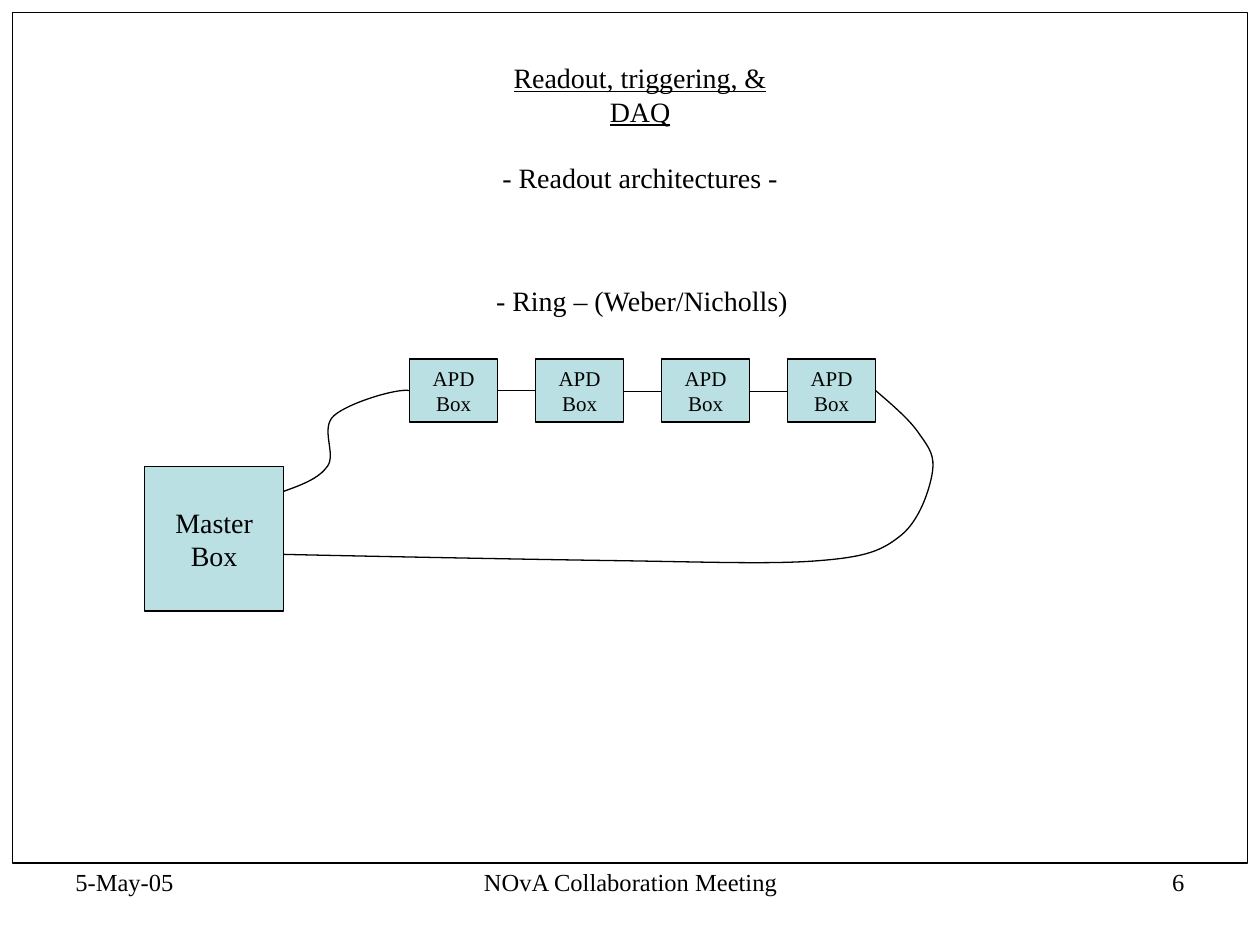
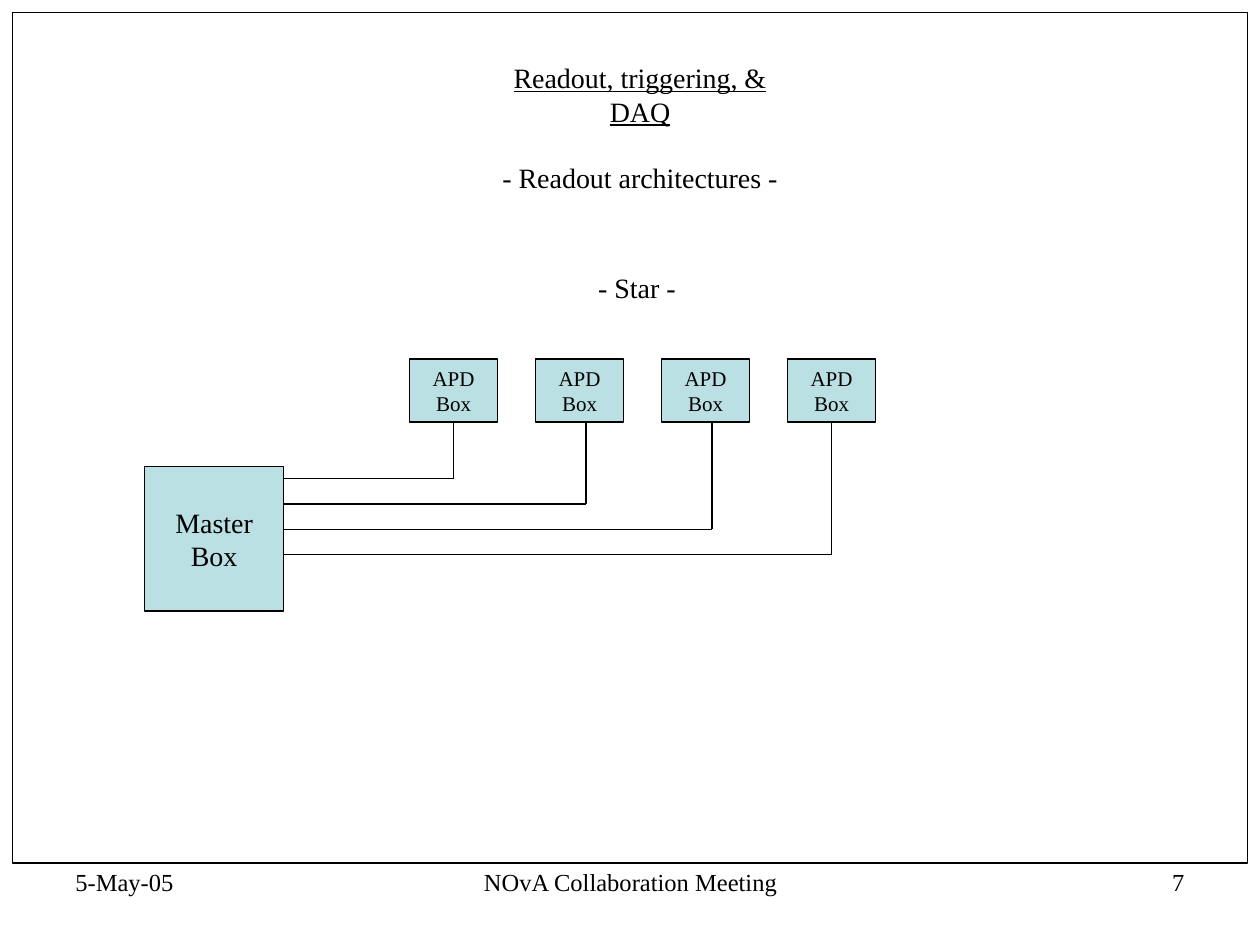
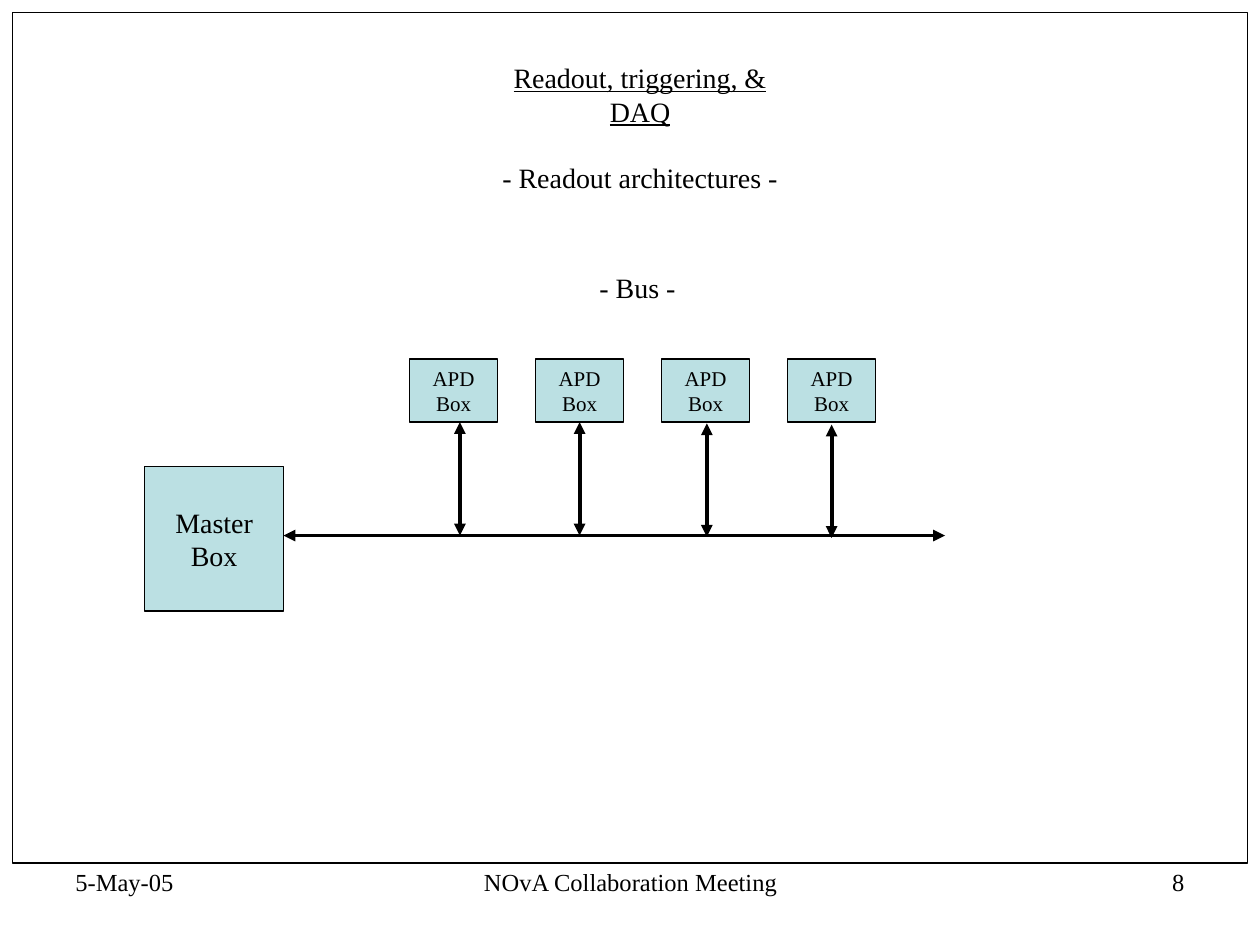
from lxml import etree
from pptx import Presentation
from pptx.dml.color import RGBColor
from pptx.enum import shapes, text
from pptx.oxml.ns import qn
from pptx.util import Inches, Pt

INK = RGBColor.from_string("000000")
AQUA = RGBColor.from_string("BBE0E3")
FONT = "Times New Roman"
RECT = shapes.MSO_SHAPE.RECTANGLE
LEFT, MID, RIGHT = text.PP_ALIGN.LEFT, text.PP_ALIGN.CENTER, text.PP_ALIGN.RIGHT


def write(shape, words, size, align=MID, anchor=text.MSO_ANCHOR.TOP, wrap=False):
    frame = shape.text_frame
    frame.text = words
    frame.word_wrap = wrap
    frame.auto_size = text.MSO_AUTO_SIZE.NONE
    frame.vertical_anchor = anchor
    for para in frame.paragraphs:
        para.alignment = align
        for run in para.runs:
            run.font.name, run.font.size = FONT, Pt(size)
            run.font.color.rgb = INK


def link(slide, x1, y1, x2, y2, arrows=False):
    wire = slide.shapes.add_connector(
        shapes.MSO_CONNECTOR.STRAIGHT, *map(Inches, (x1, y1, x2, y2)))
    wire.line.color.rgb = INK
    wire.line.width = Pt(2.25 if arrows else 0.75)
    if arrows:
        for end in ("a:headEnd", "a:tailEnd"):
            etree.SubElement(wire.get_or_add_ln(), qn(end), type="triangle")
    etree.SubElement(wire._element.spPr, qn("a:effectLst"))


deck = Presentation()
deck.slide_width, deck.slide_height = Inches(10), Inches(7.5)
layout = deck.slide_layouts[5]

# Slides with what they share: title, boxes and footer
slides = []
heads = [("- Ring – (Weber/Nicholls)", 3.83, 2.2, 2.53),
         ("- Star -", 4.65, 2.1, 0.81),
         ("- Bus -", 4.66, 2.1, 0.8)]
cols = [3.25 + i for i in range(4)]
boxes = [("APD\nBox", x, 2.85, 0.7, 0.5, 12) for x in cols]
boxes.append(("Master\nBox", 1.15, 3.7, 1.1, 1.15, 16))

for page, (head, x, y, w) in enumerate(heads, 6):
    slide = deck.slides.add_slide(layout)
    slides.append(slide)

    title = slide.shapes.title
    title.left, title.top = Inches(3.71), Inches(0.43)
    title.width, title.height = Inches(2.74), Inches(0.9)
    write(title, "Readout, triggering, & DAQ\n- Readout architectures -", 16)
    first, second = title.text_frame.paragraphs
    first.runs[0].font.underline = True
    first.space_before = Pt(0)
    second.space_before = Pt(19)

    for label, bx, by, bw, bh, size in boxes:
        box = slide.shapes.add_shape(RECT, *map(Inches, (bx, by, bw, bh)))
        box.shadow.inherit = False
        box.fill.solid()
        box.fill.fore_color.rgb = AQUA
        box.line.color.rgb = INK
        box.line.width = Pt(0.75)
        write(box, label, size, anchor=text.MSO_ANCHOR.MIDDLE)

    name = slide.shapes.add_textbox(*map(Inches, (x, y, w, 0.37)))
    write(name, head, 16)

    for words, fx, fw, align in [("5-May-05", 0.5, 2.33, LEFT),
                                 ("NOvA Collaboration Meeting", 3.42, 3.17, MID),
                                 (str(page), 7.17, 2.33, RIGHT)]:
        foot = slide.shapes.add_textbox(*map(Inches, (fx, 6.83, fw, 0.52)))
        write(foot, words, 14, align, wrap=True)

ring, star, bus = slides

# Page frame, moved to the layout that all slides use
frame = ring.shapes.add_shape(RECT, *map(Inches, (0.1, 0.1, 9.8, 6.75)))
frame.shadow.inherit = False
frame.fill.background()
frame.line.color.rgb = INK
frame.line.width = Pt(0.75)
layout.shapes._spTree.append(frame._element)

# Ring: links between the boxes, and two curves to the master
for x, y in zip(cols, (3.1, 3.11, 3.11)):
    link(ring, x + 0.7, y, x + 1, y)

curves = [
    [(2.25, 3.9), (2.39, 3.85), (2.53, 3.8), (2.6, 3.7), (2.67, 3.6),
     (2.54, 3.4), (2.65, 3.3), (2.76, 3.2), (3.15, 3.08), (3.25, 3.1)],
    [(6.95, 3.1), (7.09, 3.22), (7.23, 3.34), (7.3, 3.45), (7.38, 3.56),
     (7.42, 3.62), (7.4, 3.75), (7.38, 3.88), (7.3, 4.13), (7.15, 4.25),
     (7, 4.37), (6.88, 4.42), (6.5, 4.45), (6.13, 4.48), (5.61, 4.46),
     (4.9, 4.45), (4.19, 4.44), (2.67, 4.41), (2.25, 4.4)],
]
for curve in curves:
    start, *rest = [(Inches(x), Inches(y)) for x, y in curve]
    pen = ring.shapes.build_freeform(*start)
    pen.add_line_segments(rest, close=False)
    loop = pen.convert_to_shape()
    loop.shadow.inherit = False
    loop.fill.background()
    loop.line.color.rgb = INK
    loop.line.width = Pt(0.75)
    # Every three line points become one Bezier segment
    trace = next(loop._element.iter(qn("a:path")))
    steps = trace.findall(qn("a:lnTo"))
    for i in range(0, len(steps), 3):
        bend = etree.SubElement(trace, qn("a:cubicBezTo"))
        for step in steps[i:i + 3]:
            bend.append(step[0])
            trace.remove(step)

# Star: one wire from the master to each box
for i, x in enumerate((3.6, 4.65, 5.65, 6.6)):
    y = 3.8 + 0.2 * i
    link(star, 2.25, y, x, y)
    link(star, x, y, x, 3.35)

# Bus: one trunk with a tap for each box
link(bus, 2.25, 4.25, 7.5, 4.25, arrows=True)
for x, y in [(3.65, 4.25), (4.6, 4.25), (5.61, 4.26), (6.6, 4.27)]:
    link(bus, x, y, x, y - 0.9, arrows=True)

deck.save("out.pptx")
